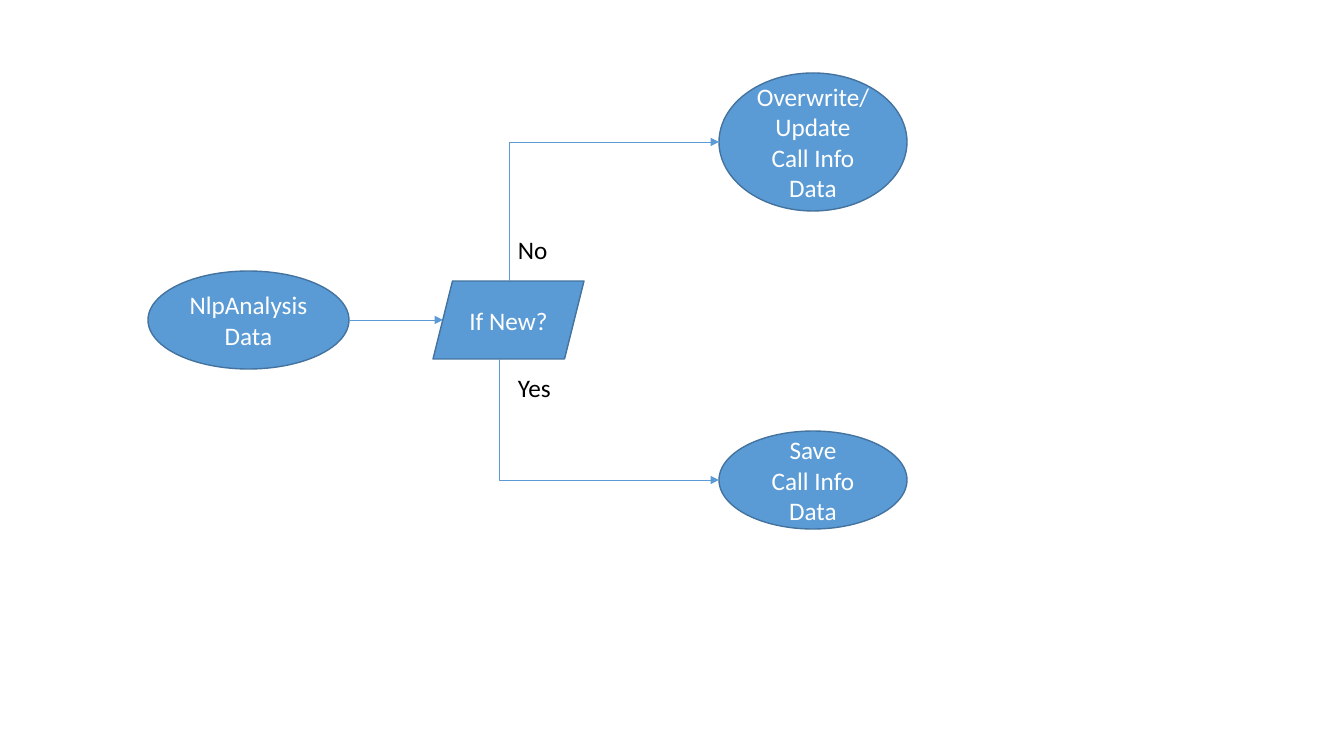
from lxml import etree
from pptx import Presentation
from pptx.dml.color import RGBColor
from pptx.enum.shapes import MSO_CONNECTOR, MSO_SHAPE
from pptx.enum.text import MSO_ANCHOR, MSO_AUTO_SIZE, PP_ALIGN
from pptx.oxml.ns import qn
from pptx.util import Emu, Pt

ELLIPSE = MSO_SHAPE.OVAL
PARALLELOGRAM = MSO_SHAPE.PARALLELOGRAM
ELBOW = MSO_CONNECTOR.ELBOW
MIDDLE = MSO_ANCHOR.MIDDLE
CENTER = PP_ALIGN.CENTER
LEFT = PP_ALIGN.LEFT
FIT_TEXT = MSO_AUTO_SIZE.SHAPE_TO_FIT_TEXT

THEME = {
    "fill": RGBColor.from_string("5B9BD5"),
    "outline": RGBColor.from_string("43739E"),
    "node_text": RGBColor.from_string("FFFFFF"),
    "label_text": RGBColor.from_string("000000"),
    "font": "Calibri",
    "size": Pt(18),
    "outline_width": Pt(1),
    "arrow_width": Pt(0.5),
}


def px(length):
    return Emu(round(length * 914400 / 100.8))


def write_lines(frame, lines, color, alignment):
    for index, line in enumerate(lines):
        para = frame.paragraphs[0] if index == 0 else frame.add_paragraph()
        para.alignment = alignment
        span = para.add_run()
        span.text = line
        span.font.name = THEME["font"]
        span.font.size = THEME["size"]
        span.font.color.rgb = color


deck = Presentation()
deck.slide_width = px(1344)
deck.slide_height = px(756)
page = deck.slides.add_slide(deck.slide_layouts[6])

nodes = [
    (ELLIPSE, (148, 271, 201, 98), ["NlpAnalysis", "Data"]),
    (ELLIPSE, (719, 431, 188, 98), ["Save", "Call Info", "Data"]),
    (PARALLELOGRAM, (433, 281, 151, 78), ["If New?"]),
    (ELLIPSE, (719, 73, 188, 138), ["Overwrite/Update", "Call Info", "Data"]),
]
for kind, bounds, lines in nodes:
    node = page.shapes.add_shape(kind, *map(px, bounds))
    node.shadow.inherit = False
    node.fill.solid()
    node.fill.fore_color.rgb = THEME["fill"]
    node.line.color.rgb = THEME["outline"]
    node.line.width = THEME["outline_width"]
    node.text_frame.word_wrap = True
    node.text_frame.vertical_anchor = MIDDLE
    write_lines(node.text_frame, lines, THEME["node_text"], CENTER)

arrows = [
    (349, 320, 443, 320),
    (509, 281, 719, 142),
    (499, 359, 719, 480),
]
for start_x, start_y, end_x, end_y in arrows:
    arrow = page.shapes.add_connector(ELBOW, px(start_x), px(start_y), px(end_x), px(end_y))
    arrow.line.color.rgb = THEME["fill"]
    arrow.line.width = THEME["arrow_width"]
    properties = arrow._element.spPr
    etree.SubElement(properties.find(qn("a:ln")), qn("a:tailEnd"), type="triangle")
    etree.SubElement(properties, qn("a:effectLst"))
    if start_y != end_y:
        across, rise = end_x - start_x, abs(end_y - start_y)
        upward = end_y < start_y
        arrow.left = px((start_x + end_x - rise) / 2)
        arrow.top = px((start_y + end_y - across) / 2)
        arrow.width, arrow.height = px(rise), px(across)
        transform = properties.find(qn("a:xfrm"))
        transform.set("rot", "5400000" if upward else "16200000")
        transform.set("flipH", "1")
        transform.set("flipV", "1" if upward else "0")
        properties.find(qn("a:prstGeom")).set("prst", "bentConnector2")

labels = [("Yes", (508, 367, 53, 40)), ("No", (508, 229, 50, 40))]
for text, bounds in labels:
    box = page.shapes.add_textbox(*map(px, bounds))
    box.text_frame.word_wrap = False
    box.text_frame.auto_size = FIT_TEXT
    write_lines(box.text_frame, [text], THEME["label_text"], LEFT)

deck.save("out.pptx")
